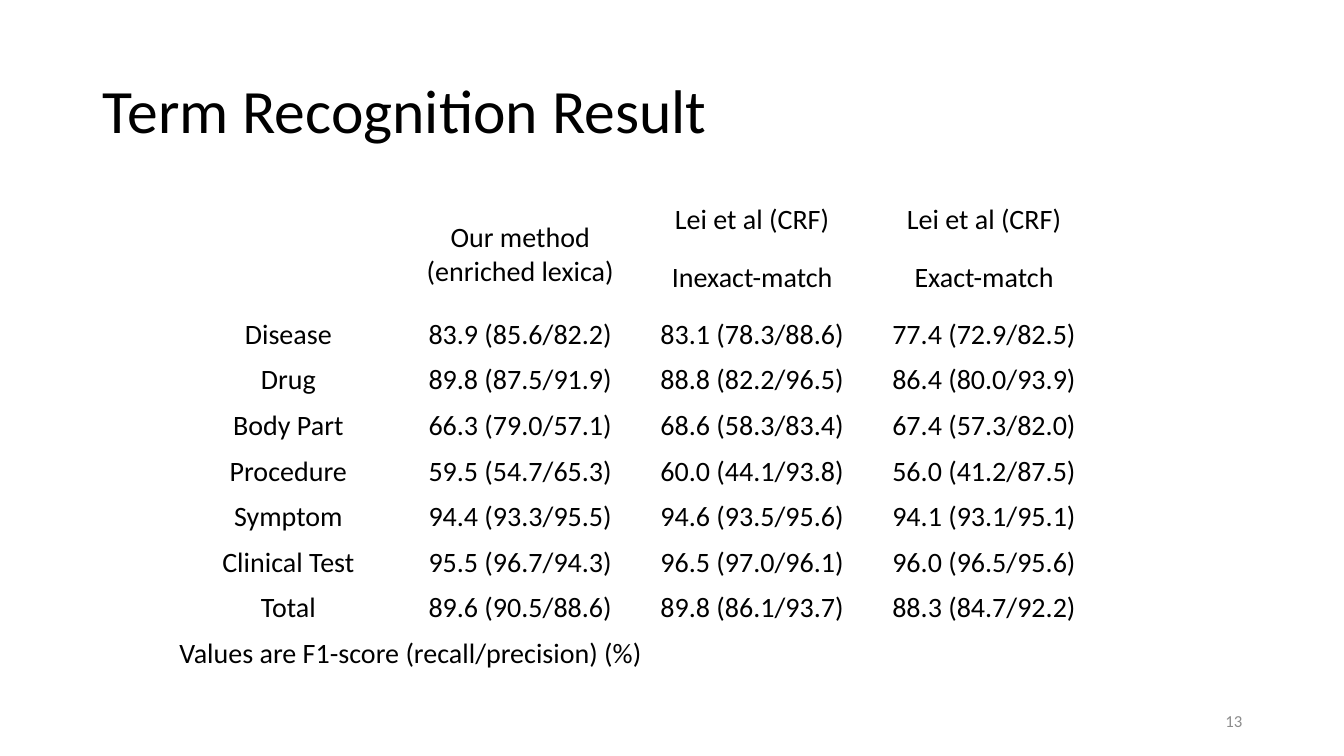
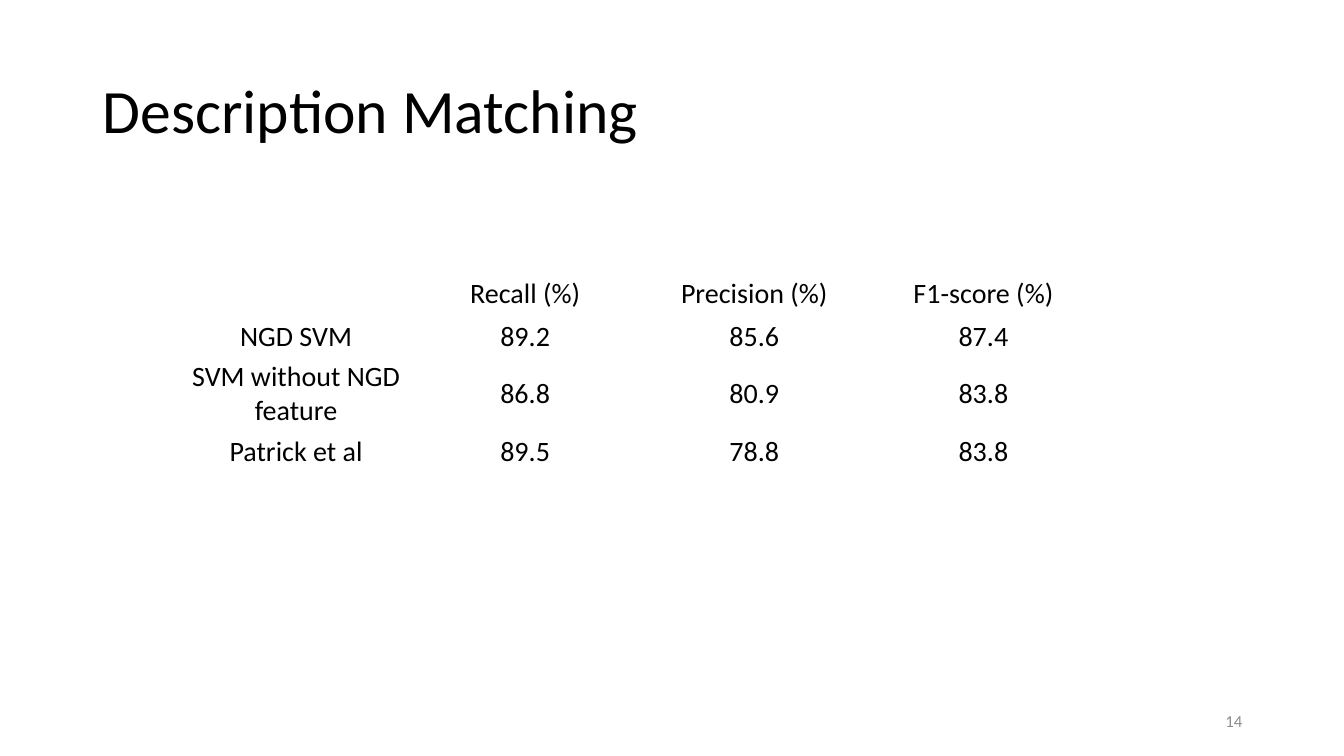
from dataclasses import dataclass

from pptx import Presentation
from pptx.dml.color import RGBColor
from pptx.enum.text import MSO_ANCHOR, MSO_AUTO_SIZE, PP_ALIGN
from pptx.util import Inches, Pt

LEFT, CENTER, RIGHT = PP_ALIGN.LEFT, PP_ALIGN.CENTER, PP_ALIGN.RIGHT
MIDDLE = MSO_ANCHOR.MIDDLE
NO_AUTOFIT = MSO_AUTO_SIZE.NONE
TITLE_ONLY = 5


@dataclass(frozen=True)
class Theme:
    font: str = "Calibri"
    ink: str = "000000"
    muted: str = "8C8C8C"
    paper: str = "FFFFFF"
    title_size: int = 44
    table_size: int = 20
    number_size: int = 12


def write(frame, text, *, font, size, color, align=LEFT, spacing=None):
    """Fill a text frame, one paragraph per line of text."""
    for index, line in enumerate(text.split("\n")):
        para = frame.add_paragraph() if index else frame.paragraphs[0]
        para.alignment = align
        if spacing:
            para.line_spacing = spacing
        span = para.add_run()
        span.text = line
        span.font.name = font
        span.font.size = Pt(size)
        span.font.color.rgb = RGBColor.from_string(color)


def place(shape, left, top, width, height):
    shape.left, shape.top = Inches(left), Inches(top)
    shape.width, shape.height = Inches(width), Inches(height)


class Deck:
    def __init__(self, theme, first_number):
        self.theme = theme
        self.number = first_number
        self.page = None
        self.presentation = Presentation()
        self.presentation.slide_width = Inches(13.33)
        self.presentation.slide_height = Inches(7.5)
        background = self.presentation.slide_master.background.fill
        background.solid()
        background.fore_color.rgb = RGBColor.from_string(theme.paper)

    def add_page(self, title):
        layout = self.presentation.slide_layouts[TITLE_ONLY]
        self.page = self.presentation.slides.add_slide(layout)
        self.add_title(title)
        self.add_number()

    def add_title(self, text):
        box = self.page.shapes.title
        place(box, 0.92, 0.4, 11.5, 1.45)
        frame = box.text_frame
        frame.vertical_anchor = MIDDLE
        frame.auto_size = NO_AUTOFIT
        write(frame, text, font=self.theme.font, size=self.theme.title_size,
              color=self.theme.ink, spacing=0.9)

    def add_number(self):
        box = self.page.shapes.add_textbox(
            Inches(9.42), Inches(6.95), Inches(3), Inches(0.4))
        frame = box.text_frame
        frame.word_wrap = True
        frame.vertical_anchor = MIDDLE
        write(frame, str(self.number), font=self.theme.font,
              size=self.theme.number_size, color=self.theme.muted, align=RIGHT)
        self.number += 1

    def add_table(self, rows, left, top, width, height, row_heights=None, merges=()):
        """Draw an even grid; row_heights maps a row to its own height,
        merges lists (first row, first column, last row, last column)."""
        table = self.page.shapes.add_table(
            len(rows), len(rows[0]), Inches(left), Inches(top),
            Inches(width), Inches(height)).table
        table.first_row = table.horz_banding = False
        for index, row_height in (row_heights or {}).items():
            table.rows[index].height = Inches(row_height)
        for r, row in enumerate(rows):
            for c, text in enumerate(row):
                self.fill_cell(table.cell(r, c), text)
        for top_row, first_col, last_row, last_col in merges:
            table.cell(top_row, first_col).merge(table.cell(last_row, last_col))
        return table

    def fill_cell(self, cell, text):
        cell.fill.background()
        cell.vertical_anchor = MIDDLE
        cell.margin_left = cell.margin_right = Inches(0.07)
        cell.margin_top = cell.margin_bottom = 0
        if text:
            write(cell.text_frame, text, font=self.theme.font,
                  size=self.theme.table_size, color=self.theme.ink, align=CENTER)


RECOGNITION = [
    ["", "Our method\n(enriched lexica)", "Lei et al (CRF)", "Lei et al (CRF)"],
    ["", "", "Inexact-match", "Exact-match"],
    ["Disease", "83.9 (85.6/82.2)", "83.1 (78.3/88.6)", "77.4 (72.9/82.5)"],
    ["Drug", "89.8 (87.5/91.9)", "88.8 (82.2/96.5)", "86.4 (80.0/93.9)"],
    ["Body Part", "66.3 (79.0/57.1)", "68.6 (58.3/83.4)", "67.4 (57.3/82.0)"],
    ["Procedure", "59.5 (54.7/65.3)", "60.0 (44.1/93.8)", "56.0 (41.2/87.5)"],
    ["Symptom", "94.4 (93.3/95.5)", "94.6 (93.5/95.6)", "94.1 (93.1/95.1)"],
    ["Clinical Test", "95.5 (96.7/94.3)", "96.5 (97.0/96.1)", "96.0 (96.5/95.6)"],
    ["Total", "89.6 (90.5/88.6)", "89.8 (86.1/93.7)", "88.3 (84.7/92.2)"],
    ["Values are F1-score (recall/precision) (%)", "", "", ""],
]

MATCHING = [
    ["", "Recall (%)", "Precision (%)", "F1-score (%)"],
    ["NGD SVM", "89.2", "85.6", "87.4"],
    ["SVM without NGD feature", "86.8", "80.9", "83.8"],
    ["Patrick et al", "89.5", "78.8", "83.8"],
]


def main():
    deck = Deck(Theme(), first_number=13)

    # Term recognition: two-row header, note across the last row
    deck.add_page("Term Recognition Result")
    note_row = len(RECOGNITION) - 1
    table = deck.add_table(
        RECOGNITION, 1.71, 1.96, 9.2, 4.53, row_heights={1: 0.68},
        merges=[(0, 0, 1, 0), (0, 1, 1, 1), (note_row, 0, note_row, 3)])
    table.cell(note_row, 0).text_frame.paragraphs[0].alignment = LEFT

    # Description matching: one taller row for the wrapped label
    deck.add_page("Description Matching")
    deck.add_table(MATCHING, 1.8, 2.71, 9.09, 1.68, row_heights={2: 0.72})

    deck.presentation.save("out.pptx")


if __name__ == "__main__":
    main()
